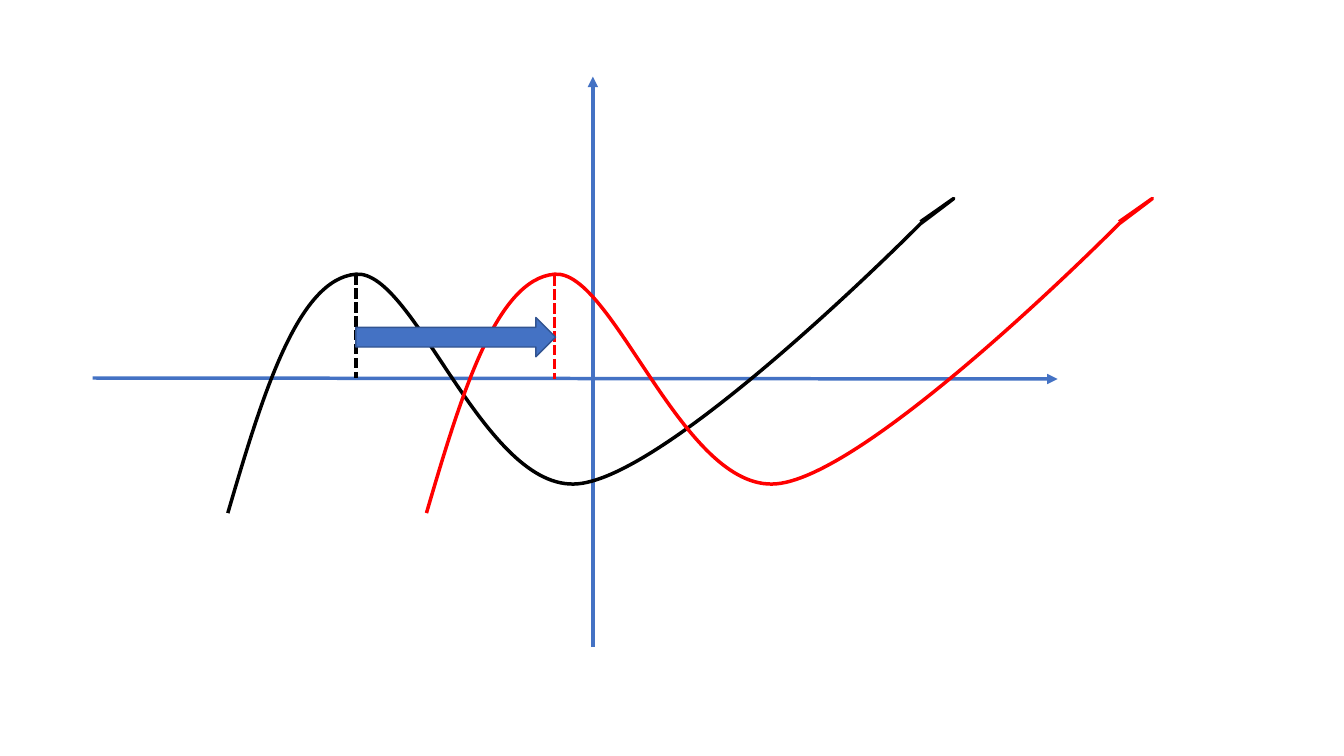
"""Draw a cubic curve and its shift to the right along the x axis."""
from pptx import Presentation
from pptx.dml.color import RGBColor
from pptx.enum.dml import MSO_LINE
from pptx.enum.shapes import MSO_CONNECTOR, MSO_SHAPE
from pptx.oxml.ns import qn
from pptx.util import Pt
from lxml.etree import SubElement

PX = 9144
HUES = {"axis": "4472C4", "edge": "325491", "black": "000000", "red": "FF0000"}
SHIFT = 197
LEFT, TOP, RIGHT, BASE = 226, 197, 946, 509
CURVE = [
    [(260, 393), (295, 277), (353, 272)],
    [(411, 267), (480, 488), (573, 480)],
    [(666, 472), (913, 222), (913, 222)],
    [(970, 179), (942, 200), (913, 220)],
]


def stroke(line, hue, width=2.5):
    line.color.rgb = RGBColor.from_string(HUES[hue])
    line.width = Pt(width)


def rule(x1, y1, x2, y2, hue, arrow=False):
    ends = [v * PX for v in (x1, y1, x2, y2)]
    link = slide.shapes.add_connector(MSO_CONNECTOR.STRAIGHT, *ends)
    stroke(link.line, hue)
    props = link.element.spPr
    if arrow:
        SubElement(props.find(qn("a:ln")), qn("a:tailEnd"), type="triangle")
    else:
        link.line.dash_style = MSO_LINE.SQUARE_DOT
    SubElement(props, qn("a:effectLst"))


deck = Presentation()
deck.slide_width, deck.slide_height = 1333 * PX, 750 * PX
slide = deck.slides.add_slide(deck.slide_layouts[6])

rule(92, 375, 1049, 376, "axis", arrow=True)
rule(588, 642, 588, 76, "axis", arrow=True)

for hue, shift in (("black", 0), ("red", SHIFT)):
    pen = slide.shapes.build_freeform(LEFT + shift, BASE, scale=PX)
    pen.add_line_segments([(RIGHT + shift, TOP)], close=False)
    curve = pen.convert_to_shape()
    track = next(curve.element.iter(qn("a:path")))
    track.remove(track.find(qn("a:lnTo")))
    for bend in CURVE:
        cubic = SubElement(track, qn("a:cubicBezTo"))
        for x, y in bend:
            SubElement(cubic, qn("a:pt"), x=str(x - LEFT), y=str(y - TOP))
    curve.shadow.inherit = False
    curve.fill.background()
    stroke(curve.line, hue)

for hue, shift, drop in (("black", 0, 0), ("red", SHIFT, 1)):
    rule(353 + shift, 272 + drop, 353 + shift, 375 + drop, hue)

arrow = slide.shapes.add_shape(
    MSO_SHAPE.RIGHT_ARROW, 353 * PX, 315 * PX, 198 * PX, 39 * PX
)
arrow.shadow.inherit = False
arrow.fill.solid()
arrow.fill.fore_color.rgb = RGBColor.from_string(HUES["axis"])
stroke(arrow.line, "edge", 1)

deck.save("out.pptx")
